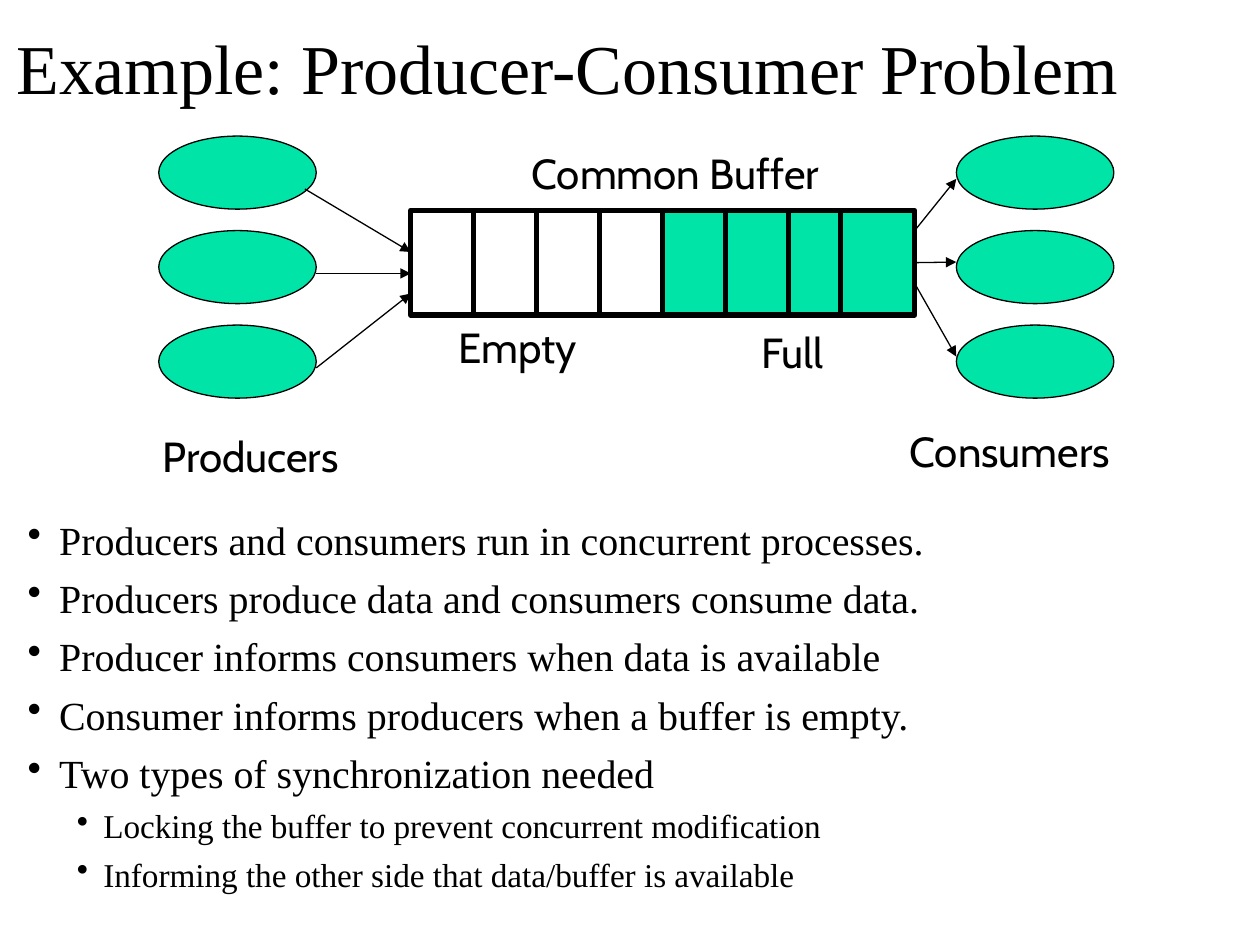
from lxml.etree import SubElement
from pptx import Presentation
from pptx.dml.color import RGBColor
from pptx.enum.shapes import MSO_CONNECTOR, MSO_SHAPE
from pptx.enum.text import MSO_ANCHOR
from pptx.oxml.ns import qn
from pptx.util import Inches, Pt

BLACK = RGBColor(0x00, 0x00, 0x00)
GREEN = RGBColor(0x00, 0xE4, 0xA8)
SERIF, SANS = "Times New Roman", "Cabin"

TITLE = "Example: Producer-Consumer Problem"
POINTS = [
    (0, "Producers and consumers run in concurrent processes."),
    (0, "Producers produce data and consumers consume data."),
    (0, "Producer informs consumers when data is available"),
    (0, "Consumer informs producers when a buffer is empty."),
    (0, "Two types of synchronization needed"),
    (1, "Locking the buffer to prevent concurrent modification"),
    (1, "Informing the other side that data/buffer is available"),
]
LEVELS = [
    {"size": 22.8, "before": 6, "margin": 0.25, "hang": 0.25},
    {"size": 19, "before": 5, "margin": 0.6, "hang": 0.21},
]
LABELS = [
    ("Full", 5.99, 2.54, 0.63),
    ("Empty", 3.59, 2.5, 1.04),
    ("Producers", 1.24, 3.37, 1.57),
    ("Consumers", 7.17, 3.33, 1.74),
    ("Common Buffer", 4.17, 1.12, 2.41),
]

PRODUCER_X, CONSUMER_X = 1.26, 7.59
OVAL_TOP, OVAL_PITCH, OVAL_W, OVAL_H = 1.08, 0.75, 1.25, 0.58
BUFFER_X, BUFFER_Y, HALF_W, BUFFER_H = 3.26, 1.67, 2, 0.83
FULL_X, BUFFER_END = BUFFER_X + HALF_W, BUFFER_X + 2 * HALF_W
SLOT_W = HALF_W / 4
EMPTY_DIVIDERS = [BUFFER_X + SLOT_W * slot for slot in range(1, 5)]
FULL_DIVIDERS = [FULL_X + SLOT_W, FULL_X + 2 * SLOT_W, 6.67]
PRODUCER_ARROWS = [(2.42, 1.5, 2), (2.51, 2.17, 2.17), (2.51, 2.92, 2.33)]
CONSUMER_ARROWS = [(1.83, 1.42), (2.08, 2.08), (2.25, 2.83)]

deck = Presentation()
deck.slide_width, deck.slide_height = Inches(10), Inches(7.5)
slide = deck.slides.add_slide(deck.slide_layouts[6])


def add_text(paragraphs, left, top, width, height, font=SERIF, size=24,
             anchor=MSO_ANCHOR.TOP, wrap=True, levels=None):
    frame = slide.shapes.add_textbox(
        Inches(left), Inches(top), Inches(width), Inches(height)).text_frame
    frame.word_wrap = wrap
    frame.vertical_anchor = anchor
    frame.margin_left = frame.margin_right = Inches(0.05)
    frame.margin_top = frame.margin_bottom = Inches(0.05)
    for index, (level, words) in enumerate(paragraphs):
        paragraph = frame.add_paragraph() if index else frame.paragraphs[0]
        run = paragraph.add_run()
        run.text = words
        run.font.name, run.font.size = font, Pt(size)
        run.font.color.rgb = BLACK
        if levels:
            style = levels[level]
            run.font.size = Pt(style["size"])
            paragraph.level = level
            paragraph.space_before = Pt(style["before"])
            properties = paragraph._p.get_or_add_pPr()
            properties.set("marL", str(Inches(style["margin"])))
            properties.set("indent", str(-Inches(style["hang"])))
            SubElement(properties, qn("a:buChar")).set("char", "•")


def add_box(kind, left, top, width, height, fill=None, weight=0.75):
    box = slide.shapes.add_shape(
        kind, Inches(left), Inches(top), Inches(width), Inches(height))
    box.shadow.inherit = False
    if fill is None:
        box.fill.background()
    else:
        box.fill.solid()
        box.fill.fore_color.rgb = fill
    box.line.color.rgb = BLACK
    box.line.width = Pt(weight)
    return box


def add_line(x1, y1, x2, y2, weight=0.75, arrow=False):
    line = slide.shapes.add_connector(
        MSO_CONNECTOR.STRAIGHT, Inches(x1), Inches(y1), Inches(x2), Inches(y2))
    line.line.color.rgb = BLACK
    line.line.width = Pt(weight)
    if arrow:
        SubElement(line.line._get_or_add_ln(), qn("a:tailEnd")).set("type", "triangle")
    SubElement(line._element.spPr, qn("a:effectLst"))
    return line


add_text([(0, TITLE)], 0.08, 0.08, 10, 0.83, size=40, anchor=MSO_ANCHOR.BOTTOM)
add_text(POINTS, 0.17, 4.04, 9.83, 3, levels=LEVELS)

for column in (PRODUCER_X, CONSUMER_X):
    for row in range(3):
        add_box(MSO_SHAPE.OVAL, column, OVAL_TOP + row * OVAL_PITCH,
                OVAL_W, OVAL_H, fill=GREEN)

for start, fill, dividers in ((BUFFER_X, None, EMPTY_DIVIDERS),
                              (FULL_X, GREEN, FULL_DIVIDERS)):
    half = add_box(MSO_SHAPE.RECTANGLE, start, BUFFER_Y, HALF_W, BUFFER_H,
                   fill=fill, weight=3)
    for x in dividers:
        add_line(x, BUFFER_Y, x, BUFFER_Y + BUFFER_H, weight=3)

for x, y, buffer_y in PRODUCER_ARROWS:
    add_line(x, y, BUFFER_X, buffer_y, arrow=True)

consumer_arrows = [add_line(BUFFER_END, buffer_y, CONSUMER_X, y, arrow=True)
                   for buffer_y, y in CONSUMER_ARROWS]
consumer_arrows[1].begin_connect(half, 3)

for words, left, top, width in LABELS:
    add_text([(0, words)], left, top, width, 0.5, font=SANS, wrap=False)

deck.save("out.pptx")
